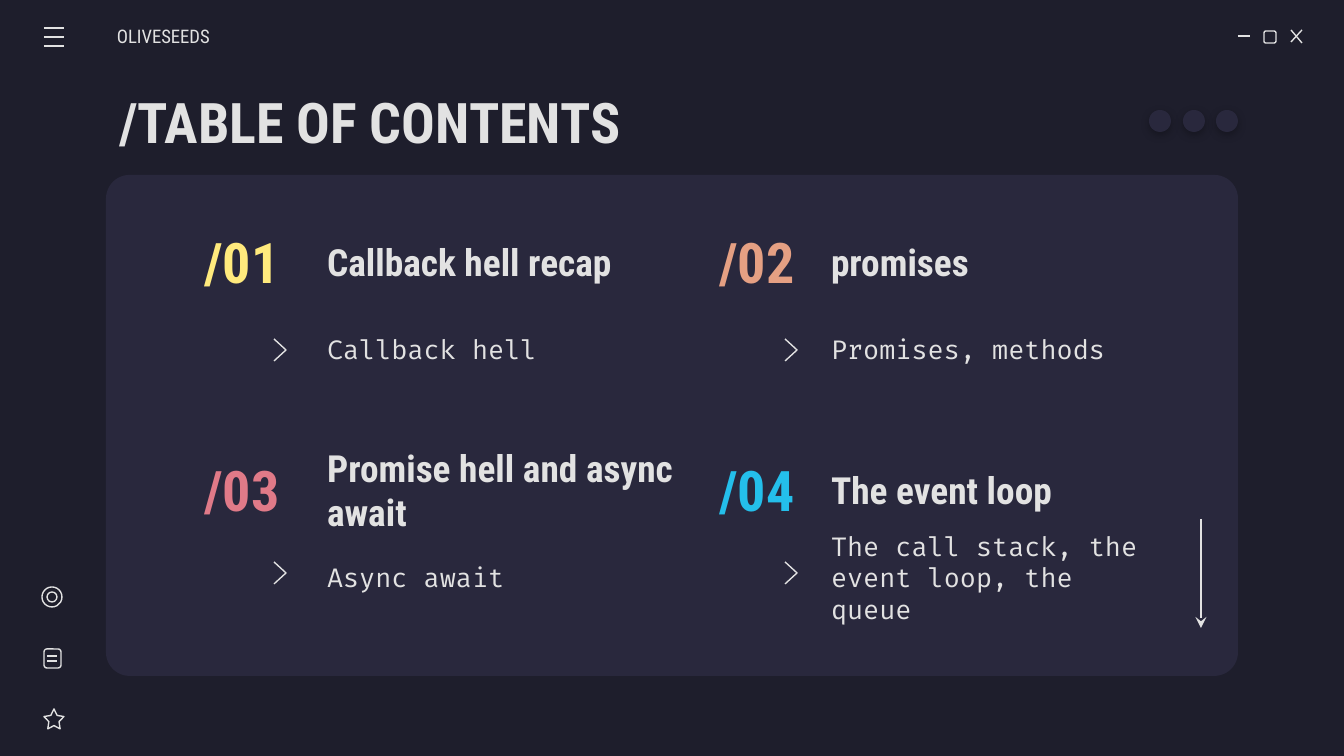
"""Build a dark table-of-contents slide styled as an application window."""
from lxml import etree
from pptx import Presentation
from pptx.dml.color import RGBColor
from pptx.enum.shapes import MSO_CONNECTOR, MSO_SHAPE
from pptx.enum.text import MSO_ANCHOR, PP_ALIGN
from pptx.oxml.ns import qn
from pptx.util import Pt

STRAIGHT = MSO_CONNECTOR.STRAIGHT
ROUNDED, OVAL, STAR = MSO_SHAPE.ROUNDED_RECTANGLE, MSO_SHAPE.OVAL, MSO_SHAPE.STAR_5_POINT
MIDDLE, LEFT, CENTER = MSO_ANCHOR.MIDDLE, PP_ALIGN.LEFT, PP_ALIGN.CENTER

EMU_PER_PX = 9144000 / 1344
BACKGROUND, PANEL, LIGHT = "1E1E2C", "29283D", "E2E2E2"
HEADING_FONT, BODY_FONT = "Roboto Condensed", "Fira Code"
INSET = 13

BRAND = "OLIVESEEDS"
TITLE = "/TABLE OF CONTENTS"
SECTIONS = [
    ("/01", "FFEA7D", "Callback hell recap", "Callback hell"),
    ("/02", "E5A083", "promises", "Promises, methods"),
    ("/03", "E07A88", "Promise hell and async await", "Async await"),
    ("/04", "24BFEB", "The event loop", "The call stack, the event loop, the queue"),
]
COLUMNS = [
    {"number": 181, "chevron": 274, "text": 314},
    {"number": 696, "chevron": 785, "text": 818},
]
ROWS = [{"heading": 224, "chevron": 339}, {"heading": 452, "chevron": 562}]

MENU_LINES = [(44, y, 64, y) for y in (28, 37, 46)]
WINDOW_LINES = [(1238, 36, 1250, 36), (1291, 30, 1302, 43), (1302, 30, 1291, 42)]
PAGE_LINES = [(47, y, 57, y) for y in (656, 661)]
OUTLINED_ICONS = [
    (ROUNDED, (1264, 31, 12, 12)),
    (OVAL, (42, 587, 20, 20)),
    (OVAL, (47, 592, 10, 10)),
    (ROUNDED, (44, 649, 17, 19)),
    (STAR, (44, 709, 20, 20)),
]
DOT_LEFTS = (1149, 1183, 1216)
ARROW = (1201, 519, 1201, 628)


def px(length):
    return round(length * EMU_PER_PX)


def color(value):
    return RGBColor.from_string(value)


def outline(shape):
    shape.line.color.rgb = color(LIGHT)
    shape.line.width = Pt(0.75)


def add_text(slide, text, box, size, font=HEADING_FONT, fill=LIGHT, bold=False,
             align=LEFT, left_inset=INSET):
    frame = slide.shapes.add_textbox(*map(px, box)).text_frame
    frame.word_wrap = True
    frame.vertical_anchor = MIDDLE
    frame.margin_left = px(left_inset)
    frame.margin_right = frame.margin_top = frame.margin_bottom = px(INSET)
    paragraph = frame.paragraphs[0]
    paragraph.alignment = align
    run = paragraph.add_run()
    run.text = text
    run.font.name, run.font.size, run.font.bold = font, Pt(size), bold
    run.font.color.rgb = color(fill)


def add_shape(slide, kind, box, fill=None):
    shape = slide.shapes.add_shape(kind, *map(px, box))
    shape.shadow.inherit = False
    if fill:
        shape.fill.solid()
        shape.fill.fore_color.rgb = color(fill)
        shape.line.fill.background()
    else:
        shape.fill.background()
        outline(shape)
    return shape


def add_line(slide, ends, arrow=False):
    line = slide.shapes.add_connector(STRAIGHT, *map(px, ends))
    outline(line)
    if arrow:
        etree.SubElement(line.line._get_or_add_ln(), qn("a:tailEnd"), type="stealth")
    etree.SubElement(line._element.spPr, qn("a:effectLst"))


def add_chevron(slide, left, top):
    builder = slide.shapes.build_freeform(left, top, scale=EMU_PER_PX)
    builder.add_line_segments([(left + 12, top + 11), (left, top + 22)], close=False)
    chevron = builder.convert_to_shape()
    chevron.shadow.inherit = False
    chevron.fill.background()
    outline(chevron)


def add_dot(slide, left):
    dot = add_shape(slide, OVAL, (left, 110, 22, 22), fill=PANEL)
    effects = dot._element.spPr.find(qn("a:effectLst"))
    shadow = etree.SubElement(effects, qn("a:outerShdw"), blurRad=str(Pt(4.5)),
                              dist=str(Pt(1.5)), dir="5400000", algn="bl",
                              rotWithShape="0")
    shade = etree.SubElement(shadow, qn("a:srgbClr"), val="000000")
    etree.SubElement(shade, qn("a:alpha"), val="27000")


def add_section(slide, index, number, accent, heading, topic):
    row, column = ROWS[index // 2], COLUMNS[index % 2]
    top, left = row["heading"], column["text"]
    add_text(slide, heading, (left, top, 391, 75), 20, bold=True)
    add_text(slide, number, (column["number"], top, 122, 75), 30, fill=accent,
             bold=True, align=CENTER)
    add_text(slide, topic, (left, top + 75, 344, 101), 14, font=BODY_FONT)
    add_chevron(slide, column["chevron"], row["chevron"])


def main():
    presentation = Presentation()
    presentation.slide_width, presentation.slide_height = px(1344), px(756)
    slide = presentation.slides.add_slide(presentation.slide_layouts[6])
    slide.background.fill.solid()
    slide.background.fill.fore_color.rgb = color(BACKGROUND)

    panel = add_shape(slide, ROUNDED, (106, 175, 1132, 501), fill=PANEL)
    panel.adjustments[0] = 0.047
    for index, section in enumerate(SECTIONS):
        add_section(slide, index, *section)
    add_text(slide, TITLE, (106, 79, 1132, 85), 30, bold=True)
    add_text(slide, BRAND, (117, 16, 157, 40), 10, left_inset=0)

    for kind, box in OUTLINED_ICONS:
        icon = add_shape(slide, kind, box)
        if kind == STAR:
            icon.adjustments[0] = 0.254
    for ends in MENU_LINES + WINDOW_LINES + PAGE_LINES:
        add_line(slide, ends)
    add_line(slide, ARROW, arrow=True)
    for left in DOT_LEFTS:
        add_dot(slide, left)
    presentation.save("out.pptx")


if __name__ == "__main__":
    main()
